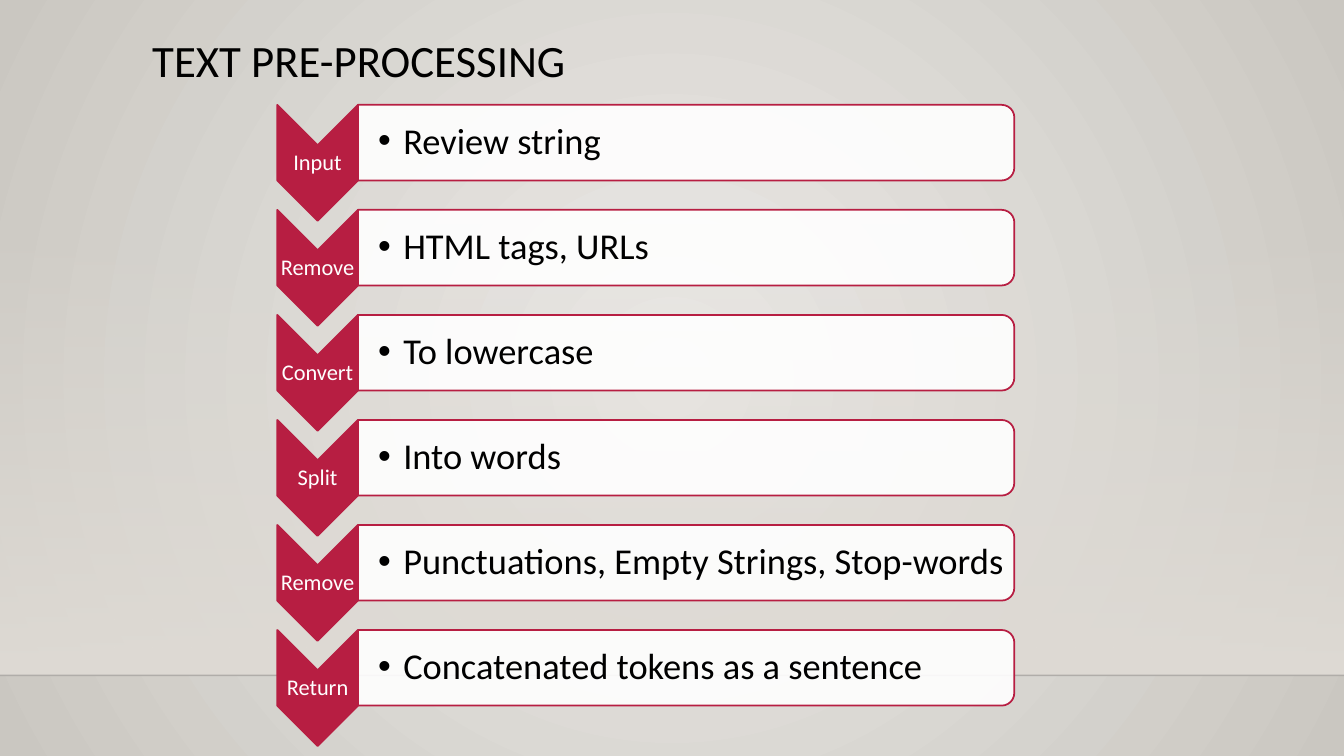
from pptx import Presentation
from pptx.dml.color import RGBColor
from pptx.enum.shapes import MSO_CONNECTOR as Connector, MSO_SHAPE as Shape
from pptx.enum.text import MSO_ANCHOR as Anchor, PP_ALIGN as Align
from pptx.oxml import parse_xml
from pptx.oxml.ns import nsdecls, qn
from pptx.util import Inches, Pt

TITLE = "TEXT PRE-PROCESSING"
STEPS = [
    ("Input", "Review string"),
    ("Remove", "HTML tags, URLs"),
    ("Convert", "To lowercase"),
    ("Split", "Into words"),
    ("Remove", "Punctuations, Empty Strings, Stop-words"),
    ("Return", "Concatenated tokens as a sentence"),
]
FONT = "Calibri"
CRIMSON, WHITE, BLACK = "B71E42", "FFFFFF", "000000"
WIDTH, HEIGHT, FLOOR = 13.33, 7.5, 6.7
FIRST_ROW, LAST_ROW = 1.04, 6.25
ROW_LEFT = 2.75
CHEVRON_WIDTH, CHEVRON_HEIGHT = 0.8, 1.15
BAR_WIDTH, BAR_HEIGHT = 6.51, 0.75


def color(value):
    return RGBColor.from_string(value)


def inches(*values):
    return [Inches(value) for value in values]


def set_alpha(color_node, percent):
    alpha = parse_xml(f'<a:alpha {nsdecls("a")} val="{percent * 1000}"/>')
    color_node.append(alpha)


def set_gradient(fill, start, end):
    fill.gradient()
    for stop, value, position in zip(fill.gradient_stops, (start, end), (0, 1)):
        stop.color.rgb = color(value)
        stop.position = position


def write(box, text, size, ink, align=Align.LEFT, anchor=Anchor.MIDDLE,
          insets=(0.1, 0.05, 0.1, 0.05), bullet=False):
    frame = box.text_frame
    frame.word_wrap = True
    frame.vertical_anchor = anchor
    (frame.margin_left, frame.margin_top,
     frame.margin_right, frame.margin_bottom) = inches(*insets)
    para = frame.paragraphs[0]
    para.alignment = align
    para.line_spacing = 0.9
    if bullet:
        props = para._p.get_or_add_pPr()
        props.set("marL", str(Inches(0.25)))
        props.set("indent", str(-Inches(0.25)))
        props.append(parse_xml(f'<a:buFont {nsdecls("a")} typeface="Arial"/>'))
        props.append(parse_xml(f'<a:buChar {nsdecls("a")} char="•"/>'))
    span = para.add_run()
    span.text = text
    span.font.name = FONT
    span.font.size = Pt(size)
    span.font.color.rgb = color(ink)


def add_turned(page, kind, left, top, width, height, fill):
    """Add a shape turned a quarter clockwise that covers the given area."""
    shift = (width - height) / 2
    shape = page.shapes.add_shape(
        kind, *inches(left + shift, top - shift, height, width))
    shape.rotation = 90
    shape.shadow.inherit = False
    shape.fill.solid()
    shape.fill.fore_color.rgb = color(fill)
    shape.line.color.rgb = color(CRIMSON)
    shape.line.width = Pt(1.25)
    return shape


def add_backdrop(page):
    set_gradient(page.background.fill, "ECEAE7", "CAC7C1")
    gradient = next(page.element.iter(qn("a:gradFill")))
    gradient.remove(gradient.find(qn("a:lin")))
    gradient.append(parse_xml(
        f'<a:path {nsdecls("a")} path="circle">'
        '<a:fillToRect l="50000" t="50000" r="50000" b="50000"/></a:path>'))

    wall = page.shapes.add_shape(
        Shape.RECTANGLE, *inches(0, 2.21, WIDTH, FLOOR - 2.21))
    wall.shadow.inherit = False
    wall.line.fill.background()
    set_gradient(wall.fill, "DFDBD5", "DFDBD5")
    wall.fill.gradient_angle = 270
    set_alpha(next(wall.element.iter(qn("a:srgbClr"))), 0)

    edge = page.shapes.add_connector(
        Connector.STRAIGHT, *inches(0, FLOOR, WIDTH, FLOOR))
    edge.line.color.rgb = color("000001")
    edge.line.width = Pt(1)
    set_alpha(next(edge.element.iter(qn("a:srgbClr"))), 20)
    edge.element.spPr.append(parse_xml(f'<a:effectLst {nsdecls("a")}/>'))


def add_step(page, top, label, detail):
    add_turned(page, Shape.CHEVRON, ROW_LEFT, top,
               CHEVRON_WIDTH, CHEVRON_HEIGHT, CRIMSON)
    label_box = page.shapes.add_textbox(
        *inches(ROW_LEFT, top + CHEVRON_WIDTH / 2, CHEVRON_WIDTH,
                CHEVRON_HEIGHT - CHEVRON_WIDTH))
    write(label_box, label, 16, WHITE, align=Align.CENTER, insets=[0.01] * 4)

    bar_left = ROW_LEFT + CHEVRON_WIDTH
    bar = add_turned(page, Shape.ROUND_2_SAME_RECTANGLE, bar_left, top,
                     BAR_WIDTH, BAR_HEIGHT, WHITE)
    set_alpha(next(bar.element.iter(qn("a:srgbClr"))), 90)
    detail_box = page.shapes.add_textbox(
        *inches(bar_left, top + 0.04, BAR_WIDTH - 0.04, BAR_HEIGHT - 0.08))
    write(detail_box, detail, 26, BLACK, insets=(0.2, 0.02, 0.02, 0.02),
          bullet=True)


def main():
    deck = Presentation()
    deck.slide_width, deck.slide_height = inches(WIDTH, HEIGHT)
    page = deck.slides.add_slide(deck.slide_layouts[5])
    add_backdrop(page)

    title = page.shapes.title
    title.left, title.top, title.width, title.height = inches(
        1.41, 0.33, 10.5, 1.15)
    write(title, TITLE, 32, BLACK, anchor=Anchor.TOP)

    pitch = (LAST_ROW - FIRST_ROW) / (len(STEPS) - 1)
    for index, (label, detail) in enumerate(STEPS):
        add_step(page, FIRST_ROW + index * pitch, label, detail)
    deck.save("out.pptx")


if __name__ == "__main__":
    main()
